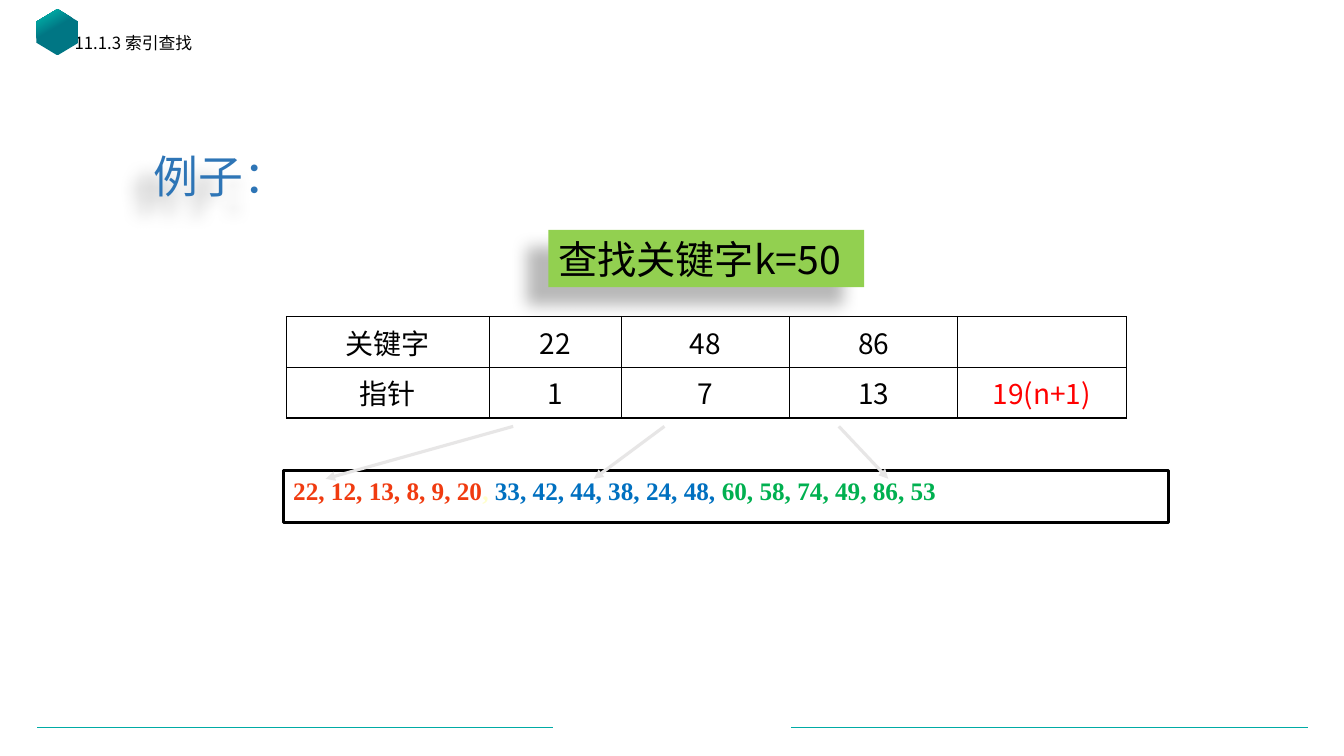
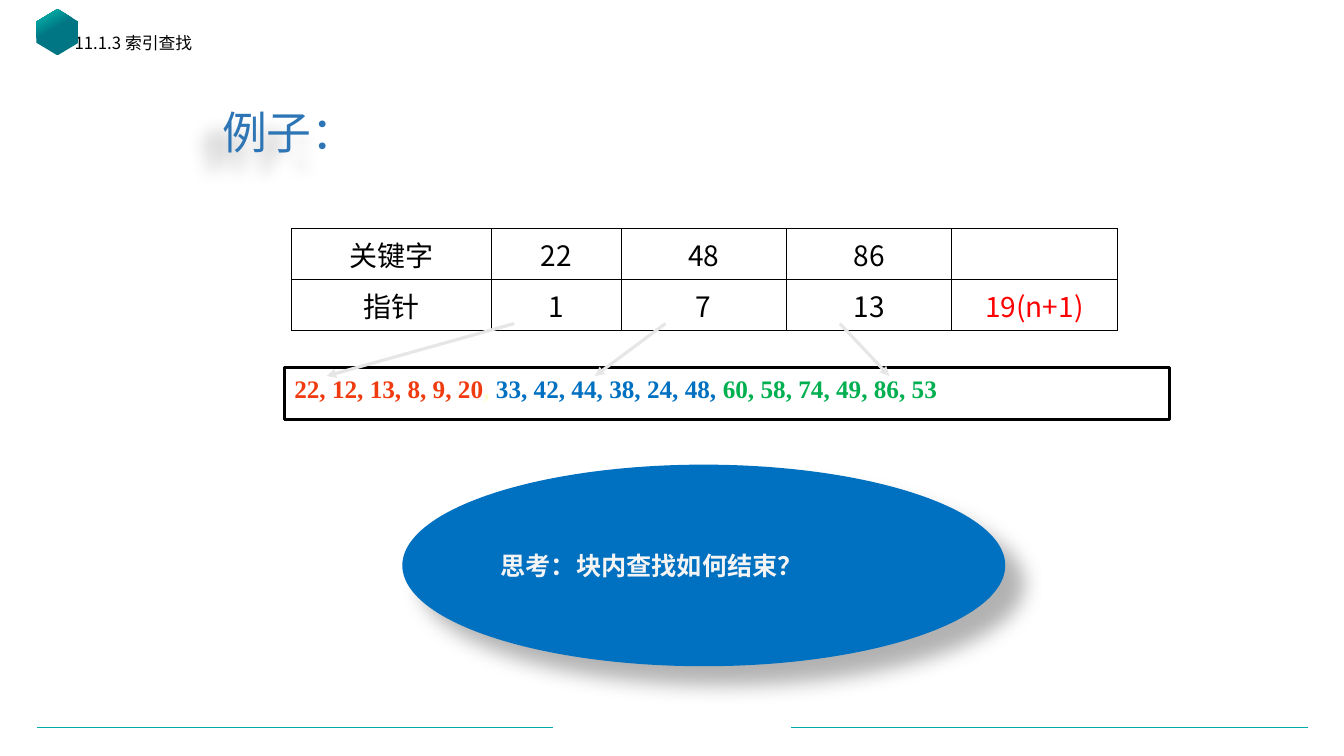
from lxml import etree
from pptx import Presentation
from pptx import util as u
from pptx.dml.color import RGBColor
from pptx.enum import shapes, text
from pptx.oxml.ns import qn

TEAL = RGBColor(0x00, 0xAB, 0xA5)
DARK_TEAL = RGBColor(0x00, 0x76, 0x84)
BLACK = RGBColor(0x00, 0x00, 0x00)
HEADING_BLUE = RGBColor(0x2E, 0x75, 0xB6)
BLUE = RGBColor(0x00, 0x70, 0xC0)
RED = RGBColor(0xFF, 0x00, 0x00)
ORANGE = RGBColor(0xF0, 0x3B, 0x10)
CREAM = RGBColor(0xFF, 0xFF, 0xCC)
GREEN = RGBColor(0x00, 0xB0, 0x50)
LIME = RGBColor(0x92, 0xD0, 0x50)
GREY = RGBColor(0xE7, 0xE6, 0xE6)
OFF_WHITE = RGBColor(0xF4, 0xF4, 0xF4)

CJK = "Noto Sans CJK SC"
SERIF = "Times New Roman"

INDEX_ROWS = [
    ["关键字", "22", "48", "86", ""],
    ["指针", "1", "7", "13", "19(n+1)"],
]
BLOCKS = [
    ("22, 12, 13, 8, 9, 20", ORANGE),
    (", ", CREAM),
    ("33, 42, 44, 38, 24, 48, ", BLUE),
    ("60, 58, 74, 49, 86, 53", GREEN),
]
POINTERS = [(2.28, 0.42), (3.78, 3.08), (5.51, 6.0)]


def inches(*lengths):
    return [u.Inches(length) for length in lengths]


def add_text(paragraph, words, size=18, color=BLACK, font=CJK, bold=False,
             align=text.PP_ALIGN.LEFT, spacing=None):
    paragraph.alignment = align
    paragraph.line_spacing = spacing
    run = paragraph.add_run()
    run.text = words
    run.font.size = u.Pt(size)
    run.font.bold = bold
    run.font.name = font
    run.font.color.rgb = color
    east_asian = etree.SubElement(run._r.get_or_add_rPr(), qn("a:ea"))
    east_asian.set("typeface", font)


def set_frame(shape, anchor):
    frame = shape.text_frame
    frame.word_wrap = True
    frame.auto_size = text.MSO_AUTO_SIZE.NONE
    frame.vertical_anchor = anchor
    return frame.paragraphs[0]


def add_shadow(shape, alpha, blur, distance, angle):
    shape.shadow.inherit = False
    effects = shape._element.spPr.find(qn("a:effectLst"))
    shadow = etree.SubElement(
        effects, qn("a:outerShdw"), blurRad=str(u.Pt(blur)),
        dist=str(u.Pt(distance)), dir=str(angle * 60000),
        algn="ctr", rotWithShape="0")
    color = etree.SubElement(shadow, qn("a:srgbClr"), val=str(BLACK))
    etree.SubElement(color, qn("a:alpha"), val=str(alpha * 1000))


def add_panel(slide, kind, box, fill=None, line=None):
    panel = slide.shapes.add_shape(kind, *inches(*box))
    panel.shadow.inherit = False
    if fill is None:
        panel.fill.background()
    else:
        panel.fill.solid()
        panel.fill.fore_color.rgb = fill
    if line is None:
        panel.line.fill.background()
    else:
        panel.line.color.rgb = line
        panel.line.width = u.Pt(2.25)
    return panel


def add_line(slide, start, end, color, width, arrow=False):
    line = slide.shapes.add_connector(
        shapes.MSO_CONNECTOR.STRAIGHT, *inches(*start, *end))
    line.line.color.rgb = color
    line.line.width = u.Pt(width)
    if arrow:
        etree.SubElement(line.line._get_or_add_ln(), qn("a:tailEnd"),
                         type="triangle")
    etree.SubElement(line._element.spPr, qn("a:effectLst"))


def add_base(deck):
    slide = deck.slides.add_slide(deck.slide_layouts[5])
    for left, right in [(0.37, 5.48), (7.85, 12.97)]:
        add_line(slide, (left, 7.22), (right, 7.22), TEAL, 0.5)
    badge = add_panel(slide, shapes.MSO_SHAPE.HEXAGON,
                      (0.34, 0.11, 0.46, 0.42), TEAL)
    badge.adjustments[0] = 0.3
    badge.rotation = 90
    badge.fill.gradient()
    badge.fill.gradient_angle = 210
    for stop, position, color in zip(badge.fill.gradient_stops,
                                     (0.57, 0.87), (DARK_TEAL, TEAL)):
        stop.position = position
        stop.color.rgb = color
    title = slide.shapes.title
    title.left, title.top, title.width, title.height = inches(
        0.64, 0.3, 5.32, 0.36)
    add_text(set_frame(title, text.MSO_ANCHOR.TOP), "11.1.3 索引查找",
             size=12, spacing=0.9)
    return slide


def add_heading(slide, left, top):
    heading = slide.shapes.add_textbox(*inches(left, top, 3, 0.7))
    add_text(set_frame(heading, text.MSO_ANCHOR.BOTTOM), "例子：", size=32,
             color=HEADING_BLUE, align=text.PP_ALIGN.CENTER, spacing=0.9)
    add_shadow(heading, 28, 11.8, 19.7, 141)


def set_borders(cell):
    properties = cell._tc.get_or_add_tcPr()
    for position, (side, width) in enumerate(
            [("L", 0.75), ("R", 0.75), ("T", 1), ("B", 1)]):
        border = etree.Element(qn(f"a:ln{side}"), w=str(u.Pt(width)))
        fill = etree.SubElement(border, qn("a:solidFill"))
        etree.SubElement(fill, qn("a:srgbClr"), val=str(BLACK))
        properties.insert(position, border)


def add_index_table(slide, left, top, widths):
    table = slide.shapes.add_table(
        len(INDEX_ROWS), len(widths),
        *inches(left, top, sum(widths), 0.88)).table
    table.first_row = table.horz_banding = False
    for column, width in zip(table.columns, widths):
        column.width = u.Inches(width)
    for row, entries in enumerate(INDEX_ROWS):
        for column, entry in enumerate(entries):
            cell = table.cell(row, column)
            cell.margin_left = cell.margin_right = 0
            cell.fill.background()
            set_borders(cell)
            if entry:
                add_text(cell.text_frame.paragraphs[0], entry, size=20,
                         color=RED if "n" in entry else BLACK,
                         align=text.PP_ALIGN.CENTER)


def add_blocks(slide, left, top):
    records = add_panel(slide, shapes.MSO_SHAPE.RECTANGLE,
                        (left, top, 8.78, 0.51), line=BLACK)
    paragraph = set_frame(records, text.MSO_ANCHOR.TOP)
    for words, color in BLOCKS:
        add_text(paragraph, words, color=color, font=SERIF, bold=True)
    for start, end in POINTERS:
        add_line(slide, (left + start, top - 0.44), (left + end, top + 0.08),
                 GREY, 2.25, arrow=True)


def add_search_slide(deck):
    slide = add_base(deck)
    add_heading(slide, 0.69, 1.37)
    add_index_table(slide, 2.84, 3.14, [2.01, 1.31] + [1.67] * 3)
    add_blocks(slide, 2.81, 4.67)
    query = add_panel(slide, shapes.MSO_SHAPE.RECTANGLE,
                      (5.44, 2.28, 3.13, 0.57), LIME)
    add_text(set_frame(query, text.MSO_ANCHOR.MIDDLE), "查找关键字k=50",
             size=28)
    add_shadow(query, 28, 11.8, 19.7, 141)


def add_question_slide(deck):
    slide = add_base(deck)
    add_heading(slide, 1.37, 0.93)
    add_index_table(slide, 2.89, 2.27, [1.98, 1.29] + [1.64] * 3)
    add_blocks(slide, 2.82, 3.65)
    question = add_panel(slide, shapes.MSO_SHAPE.OVAL,
                         (3.99, 4.61, 5.98, 2), BLUE)
    add_text(set_frame(question, text.MSO_ANCHOR.MIDDLE),
             "思考：块内查找如何结束？", color=OFF_WHITE, bold=True)
    add_shadow(question, 30, 15, 18, 45)


def main():
    deck = Presentation()
    deck.slide_width, deck.slide_height = inches(13.33, 7.5)
    add_search_slide(deck)
    add_question_slide(deck)
    deck.save("out.pptx")


if __name__ == "__main__":
    main()
